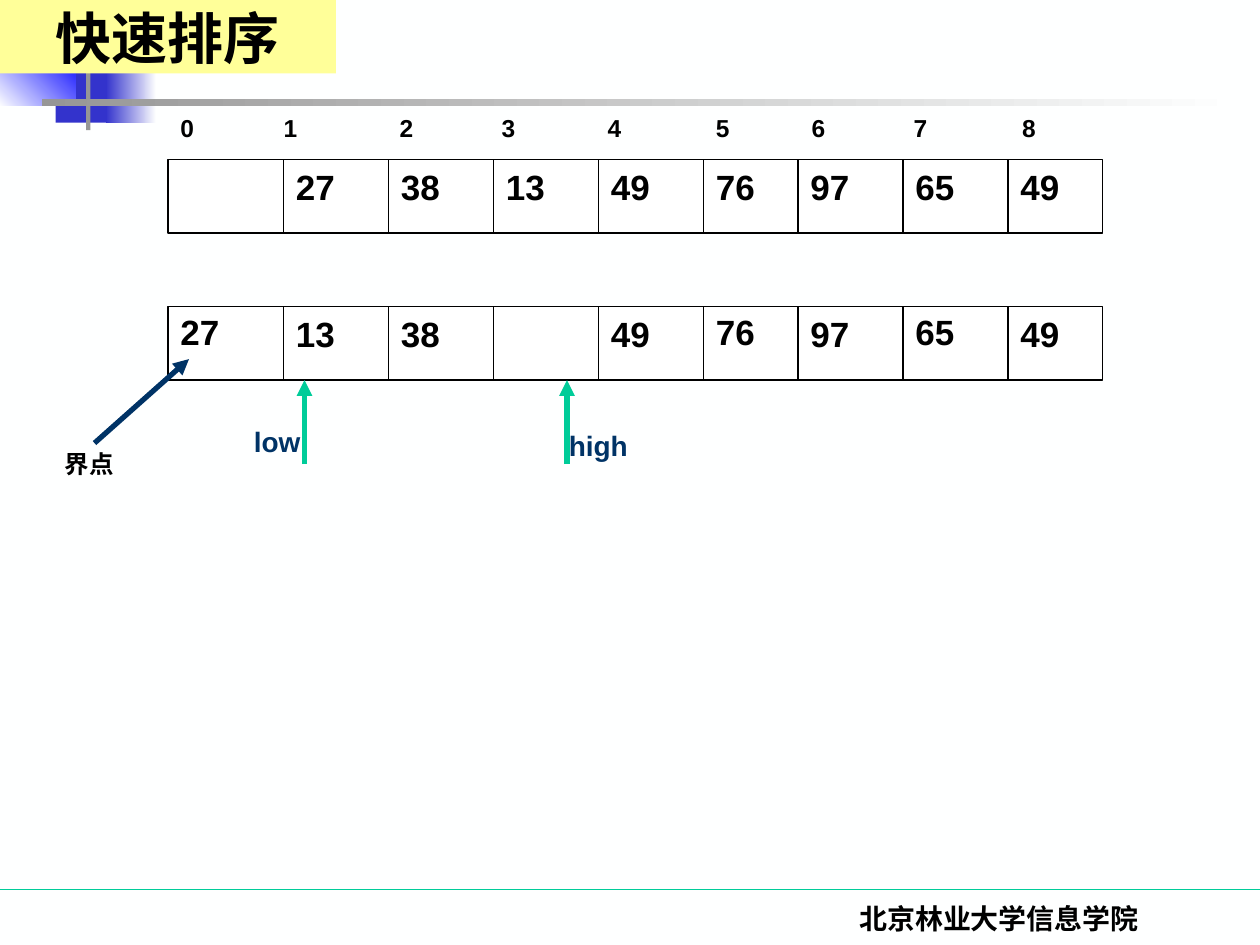
import pptx
import pptx.util
import pptx.dml.color
import pptx.enum.shapes
import pptx.enum.text
import pptx.oxml.ns
import lxml.etree

hue = pptx.dml.color.RGBColor.from_string
qn = pptx.oxml.ns.qn
kind = pptx.enum.shapes
mode = pptx.enum.text

deck = pptx.Presentation()
deck.slide_width = pptx.util.Inches(10)
deck.slide_height = pptx.util.Inches(7.5)
unit = deck.slide_width / 120
slide = deck.slides.add_slide(deck.slide_layouts[5])
slide.background.fill.solid()
slide.background.fill.fore_color.rgb = hue("FEFFFF")
shapes = slide.shapes


def link(ends, color, width, arrow=False):
    line = shapes.add_connector(kind.MSO_CONNECTOR.STRAIGHT, *[round(e * unit) for e in ends])
    line.line.color.rgb = hue(color)
    line.line.width = pptx.util.Pt(width)
    if arrow:
        lxml.etree.SubElement(line.line._get_or_add_ln(), qn("a:tailEnd"), type="triangle")
    lxml.etree.SubElement(line._element.spPr, qn("a:effectLst"))


def write(box, text, size, color="000000", face="Arial", align="LEFT", grow=True):
    frame = box.text_frame
    fit = mode.MSO_AUTO_SIZE.SHAPE_TO_FIT_TEXT if grow else mode.MSO_AUTO_SIZE.NONE
    for key, val in {"word_wrap": True, "auto_size": fit}.items():
        setattr(frame, key, val)
    para = frame.paragraphs[0]
    para.text = text
    para.alignment = mode.PP_ALIGN[align]
    font = para.runs[0].font
    for key, val in {"size": pptx.util.Pt(size), "name": face, "bold": True}.items():
        setattr(font, key, val)
    font.color.rgb = hue(color)
    return para


link((0, 84.7, 120, 84.7), "00CC99", 0.75)

edges = [16, 27, 37, 47, 57, 67, 76, 86, 96]
tops = [15.2, 29.2]
blocks = [
    (3.7, 0, 5.8, 6.2, ["003366"], 0),
    (8.6, 0, 4.3, 6.2, ["003366", "FEFFFF"], 0),
    (5.3, 5.5, 5.5, 6.2, ["3333CC"], 0),
    (10.1, 5.5, 4.8, 6.2, ["3333CC", "FEFFFF"], 0),
    (-0.1, 4.6, 7.3, 5.5, ["FEFFFF", "0000FF"], 45),
    (8.2, -1.4, 0.4, 13.8, ["969696"], 0),
    (4, 9.4, 114.1, 0.7, ["969696", "FEFFFF"], 0),
] + [(16, top, 89, 7, ["FFFFFF"], None) for top in tops]

for *area, tones, turn in blocks:
    rect = shapes.add_shape(kind.MSO_SHAPE.RECTANGLE, *[round(a * unit) for a in area])
    rect.shadow.inherit = False
    if len(tones) == 2:
        rect.fill.gradient()
        rect.fill.gradient_angle = turn
        for stop, tone in zip(rect.fill.gradient_stops, tones):
            stop.color.rgb = hue(tone)
    else:
        rect.fill.solid()
        rect.fill.fore_color.rgb = hue(tones[0])
    if turn is None:
        rect.line.color.rgb = hue("000000")
        rect.line.width = pptx.util.Pt(0.75)
    else:
        rect.line.fill.background()

for top in tops:
    for edge in edges[1:]:
        link((edge, top, edge, top + 7), "000000", 0.75)

link((54, 44.2, 54, 36.2), "00CC99", 3, True)
link((29, 44.2, 29, 36.2), "00CC99", 3, True)

rows = [
    ["", "27", "38", "13", "49", "76", "97", "65", "49"],
    ["27", "13", "38", "", "49", "76", "97", "65", "49"],
]
raised = [(1, 0), (1, 5), (1, 7)]
labels = [
    (53, 40.2, 11, 4.4, "high", 16, "003366"),
    (23, 39.8, 11, 4.4, "low", 16, "003366"),
    (5, 42.2, 10, 4.1, "界点", 14, "000000"),
]
for row, vals in enumerate(rows):
    for col, val in enumerate(vals):
        if val:
            lift = 0.2 if (row, col) in raised else 0
            labels.append((edges[col], tops[row] - lift, 8, 5.3, val, 20, "000000"))

for *area, text, size, color in labels:
    write(shapes.add_textbox(*[round(a * unit) for a in area]), text, size, color)

heads = shapes.add_textbox(*[round(a * unit) for a in (16, 10.2, 89, 4.1)])
para = write(heads, "\t".join(str(n) for n in range(9)), 14)
tabs = lxml.etree.SubElement(para._p.get_or_add_pPr(), qn("a:tabLst"))
for stop in [0.81, 1.73, 2.54, 3.38, 4.24, 5, 5.81, 6.67]:
    lxml.etree.SubElement(tabs, qn("a:tab"), pos=str(pptx.util.Inches(stop + 0.01)), algn="l")

link((9, 42.2, 18, 34.2), "003366", 3, True)

foot = shapes.add_textbox(*[round(a * unit) for a in (70.3, 85.3, 49.7, 6)])
write(foot, "北京林业大学信息学院", 16, face="Times New Roman", align="CENTER", grow=False)

title = shapes.title
for key, val in {"left": 0, "top": 0, "width": 32, "height": 7}.items():
    setattr(title, key, round(val * unit))
title.fill.solid()
title.fill.fore_color.rgb = hue("FFFF99")
write(title, "快速排序", 32, face="Times New Roman", align="CENTER", grow=False)
title.text_frame.vertical_anchor = mode.MSO_ANCHOR.MIDDLE
shapes.element.append(title.element)

deck.save("out.pptx")
